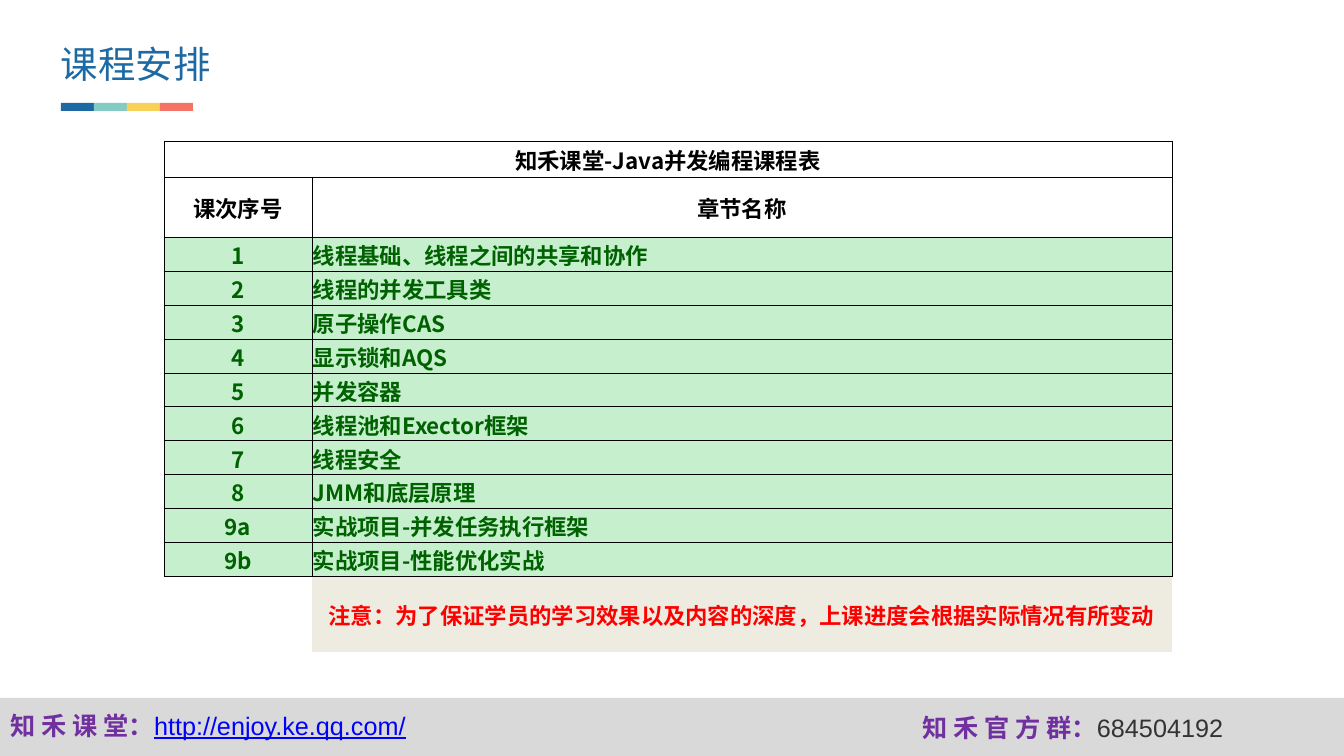
import lxml.etree
import pptx
import pptx.dml.color
import pptx.enum.shapes
import pptx.enum.text
import pptx.oxml.ns
import pptx.util
from dataclasses import dataclass

EMU_PER_PX = 914400 / 100.8
ALIGN = pptx.enum.text.PP_ALIGN
ANCHOR = pptx.enum.text.MSO_ANCHOR


@dataclass(frozen=True)
class Theme:
    cjk_font: str = "Noto Sans CJK SC"
    latin_font: str = "Arial"
    title_size: float = 26.7
    footer_size: float = 18
    table_size: float = 16
    empty_size: float = 8
    border_width: float = 0.5
    blue: str = "1D69A3"
    stripes: tuple = ("1D69A3", "84CBC3", "F8D158", "F57365")
    footer_fill: str = "D9D9D9"
    purple: str = "7030A0"
    link: str = "0000FF"
    grey: str = "333333"
    black: str = "000000"
    white: str = "FFFFFF"
    lesson_fill: str = "C6EFCE"
    lesson_text: str = "006100"
    note_fill: str = "EEECE1"
    note_text: str = "FF0000"


THEME = Theme()
LESSONS = [
    ("1", "线程基础、线程之间的共享和协作"),
    ("2", "线程的并发工具类"),
    ("3", "原子操作CAS"),
    ("4", "显示锁和AQS"),
    ("5", "并发容器"),
    ("6", "线程池和Exector框架"),
    ("7", "线程安全"),
    ("8", "JMM和底层原理"),
    ("9a", "实战项目-并发任务执行框架"),
    ("9b", "实战项目-性能优化实战"),
]


def px(length):
    return pptx.util.Emu(round(length * EMU_PER_PX))


def rgb(color):
    return pptx.dml.color.RGBColor.from_string(color)


def add_element(parent, tag, **attributes):
    return lxml.etree.SubElement(parent, pptx.oxml.ns.qn(tag), **attributes)


def add_text(paragraph, text, *, size, color, font=THEME.cjk_font, bold=False, underline=False):
    run = paragraph.add_run()
    run.text = text
    run.font.size = pptx.util.Pt(size)
    run.font.bold = bold
    run.font.underline = underline
    run.font.color.rgb = rgb(color)
    run.font.name = font
    add_element(run.font._element, "a:ea", typeface=font)


def add_bar(slide, left, top, width, height, color):
    bar = slide.shapes.add_shape(
        pptx.enum.shapes.MSO_SHAPE.RECTANGLE, px(left), px(top), px(width), px(height))
    bar.shadow.inherit = False
    bar.fill.solid()
    bar.fill.fore_color.rgb = rgb(color)
    bar.line.fill.background()


def add_text_box(slide, left, top, width, height):
    """Add a wrapping text box and return its text frame."""
    frame = slide.shapes.add_textbox(px(left), px(top), px(width), px(height)).text_frame
    frame.word_wrap = True
    frame.auto_size = pptx.enum.text.MSO_AUTO_SIZE.SHAPE_TO_FIT_TEXT
    return frame


def add_title(slide, text):
    frame = add_text_box(slide, 61, 41, 408, 45)
    frame.margin_left = frame.margin_right = frame.margin_top = frame.margin_bottom = 0
    add_text(frame.paragraphs[0], text, size=THEME.title_size, color=THEME.blue)


def add_footer_entry(slide, left, top, label, value, **value_format):
    paragraph = add_text_box(slide, left, top, 422, 40).paragraphs[0]
    add_text(paragraph, label, size=THEME.footer_size, color=THEME.purple, bold=True)
    add_text(paragraph, value, size=THEME.footer_size, font=THEME.latin_font, **value_format)


def set_borders(cell, drawn):
    """Draw the named sides and clear the others."""
    properties = cell._tc.get_or_add_tcPr()
    width = str(pptx.util.Pt(THEME.border_width))
    for index, side in enumerate("LRTB"):
        line = lxml.etree.Element(pptx.oxml.ns.qn(f"a:ln{side}"), w=width)
        if side in drawn:
            add_element(add_element(line, "a:solidFill"), "a:srgbClr", val=THEME.black)
        else:
            add_element(line, "a:noFill")
        properties.insert(index, line)


def fill_cell(cell, text="", *, color=THEME.black, fill=None, align=ALIGN.CENTER, borders="LRTB"):
    cell.margin_left = cell.margin_right = cell.margin_top = px(1)
    cell.margin_bottom = 0
    cell.vertical_anchor = ANCHOR.MIDDLE
    if fill:
        cell.fill.solid()
        cell.fill.fore_color.rgb = rgb(fill)
    else:
        cell.fill.background()
    set_borders(cell, borders)
    paragraph = cell.text_frame.paragraphs[0]
    if text:
        paragraph.alignment = align
        add_text(paragraph, text, size=THEME.table_size, color=color, bold=True)
    else:
        add_element(paragraph._p, "a:endParaRPr", sz=str(THEME.empty_size * 100))


def add_schedule(slide):
    column_widths = [148, 860]
    row_heights = [36, 60] + [34] * len(LESSONS) + [23, 52]
    table = slide.shapes.add_table(
        len(row_heights), len(column_widths), px(164), px(141),
        px(sum(column_widths)), px(sum(row_heights))).table
    table.first_row = table.horz_banding = False
    for column, width in zip(table.columns, column_widths):
        column.width = px(width)
    for row, height in zip(table.rows, row_heights):
        row.height = px(height)

    table.cell(0, 0).merge(table.cell(0, 1))
    fill_cell(table.cell(0, 0), "知禾课堂-Java并发编程课程表", fill=THEME.white)
    fill_cell(table.cell(0, 1), fill=THEME.white)
    for column, heading in enumerate(("课次序号", "章节名称")):
        fill_cell(table.cell(1, column), heading, fill=THEME.white)

    lesson_format = {"color": THEME.lesson_text, "fill": THEME.lesson_fill}
    for row, (number, chapter) in enumerate(LESSONS, start=2):
        fill_cell(table.cell(row, 0), number, **lesson_format)
        fill_cell(table.cell(row, 1), chapter, align=ALIGN.LEFT, **lesson_format)

    note_row = len(LESSONS) + 2
    table.cell(note_row, 1).merge(table.cell(note_row + 1, 1))
    fill_cell(table.cell(note_row, 0), borders="T")
    fill_cell(table.cell(note_row + 1, 0), borders="")
    fill_cell(table.cell(note_row, 1),
              "注意：为了保证学员的学习效果以及内容的深度，上课进度会根据实际情况有所变动",
              color=THEME.note_text, fill=THEME.note_fill, borders="T")
    fill_cell(table.cell(note_row + 1, 1), fill=THEME.note_fill, borders="")


def main():
    presentation = pptx.Presentation()
    presentation.slide_width, presentation.slide_height = px(1344), px(756)
    slide = presentation.slides.add_slide(presentation.slide_layouts[6])

    add_bar(slide, 0, 698, 1344, 58, THEME.footer_fill)
    add_footer_entry(slide, 1, 705, "知 禾 课 堂：", "http://enjoy.ke.qq.com/",
                     color=THEME.link, underline=True)
    add_footer_entry(slide, 913, 707, "知 禾 官 方 群：", "684504192", color=THEME.grey)
    for index, color in enumerate(THEME.stripes):
        add_bar(slide, 61 + 33 * index, 103, 33, 8, color)
    add_title(slide, "课程安排")
    add_schedule(slide)
    presentation.save("out.pptx")


if __name__ == "__main__":
    main()
